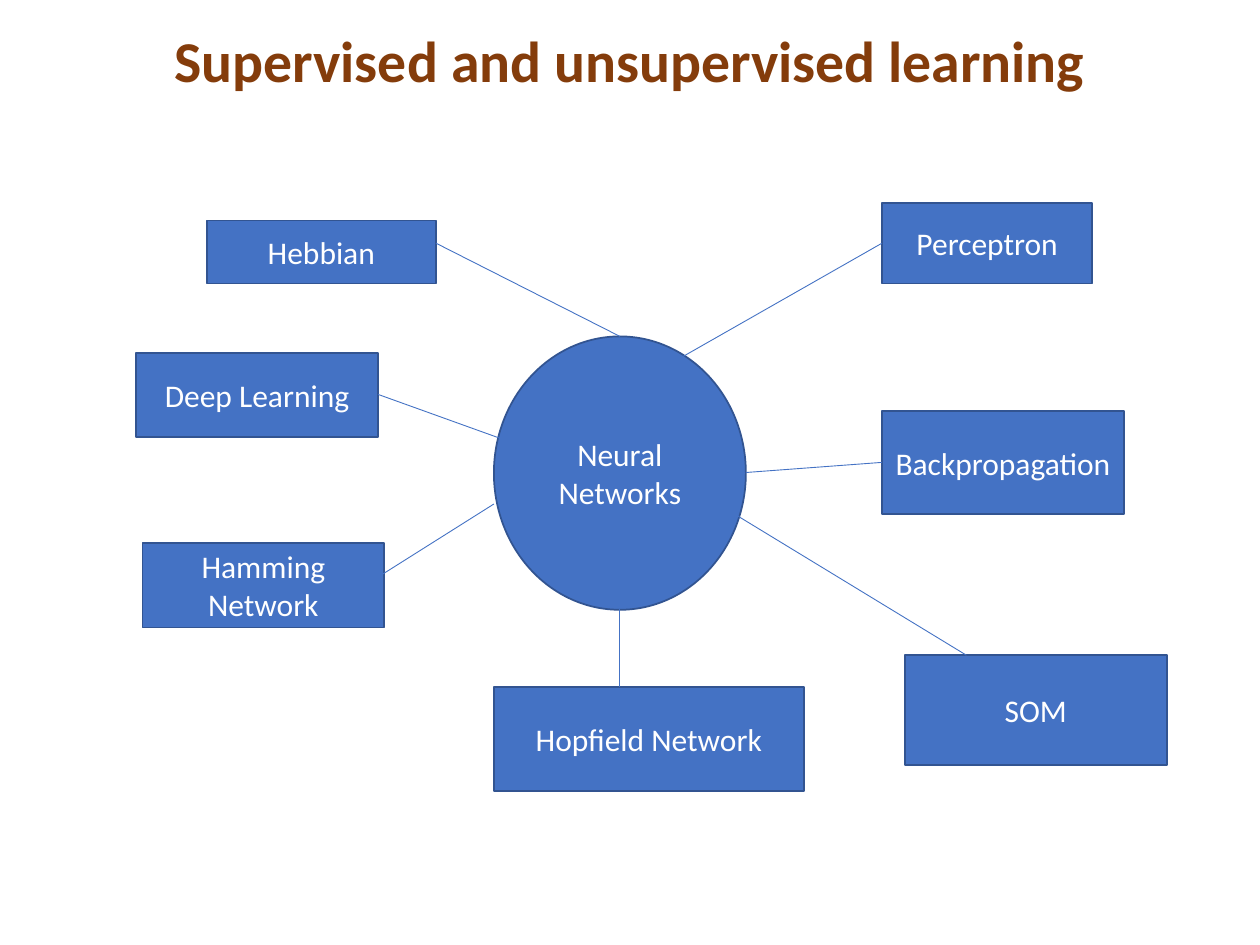
import pptx
import pptx.dml.color
import pptx.enum.shapes
import pptx.enum.text
import pptx.util
from lxml import etree
from pptx.oxml.ns import qn

Inches = pptx.util.Inches
Shapes = pptx.enum.shapes.MSO_SHAPE
RGBColor = pptx.dml.color.RGBColor
BROWN = RGBColor(0x84, 0x3C, 0x0B)
BLUE = RGBColor(0x44, 0x72, 0xC4)
NAVY = RGBColor(0x32, 0x54, 0x91)
WHITE = RGBColor(0xFF, 0xFF, 0xFF)


def write(frame, text, size=18, color=WHITE, bold=False, spacing=1.0, font="Calibri"):
    """Fill a text frame with one centred, formatted paragraph."""
    frame.word_wrap = True
    frame.auto_size = pptx.enum.text.MSO_AUTO_SIZE.NONE
    frame.vertical_anchor = pptx.enum.text.MSO_ANCHOR.MIDDLE
    paragraph = frame.paragraphs[0]
    paragraph.alignment = pptx.enum.text.PP_ALIGN.CENTER
    paragraph.line_spacing = spacing
    run = paragraph.add_run()
    run.text = text
    run.font.name = font
    run.font.size = pptx.util.Pt(size)
    run.font.bold = bold
    run.font.color.rgb = color


class MindMap:
    """Holds the map's style and the slide it is drawn on."""

    def __init__(self, slide, fill=BLUE, outline=NAVY, branch=BLUE):
        self.slide = slide
        self.fill = fill
        self.outline = outline
        self.branch = branch

    def heading(self, text, *bounds):
        """Place and fill the slide title."""
        title = self.slide.shapes.title
        title.left, title.top, title.width, title.height = map(Inches, bounds)
        write(title.text_frame, text, size=33, color=BROWN, bold=True, spacing=0.9)

    def topic(self, text, *bounds, kind=Shapes.RECTANGLE):
        """Add a filled shape labelled with a topic."""
        topic = self.slide.shapes.add_shape(kind, *map(Inches, bounds))
        topic.shadow.inherit = False
        topic.fill.solid()
        topic.fill.fore_color.rgb = self.fill
        topic.line.color.rgb = self.outline
        topic.line.width = pptx.util.Pt(1)
        write(topic.text_frame, text)

    def link(self, *ends):
        """Add a thin straight line between two points."""
        link = self.slide.shapes.add_connector(
            pptx.enum.shapes.MSO_CONNECTOR.STRAIGHT, *map(Inches, ends))
        link.line.color.rgb = self.branch
        link.line.width = pptx.util.Pt(0.5)
        etree.SubElement(link._element.spPr, qn("a:effectLst"))


NETWORKS = [
    ("Hebbian", (1.64, 1.75, 1.82, 0.5), (4.92, 2.67, 3.46, 1.93)),
    ("Backpropagation", (7, 3.26, 1.92, 0.82), (5.92, 3.75, 7, 3.67)),
    ("Perceptron", (7, 1.61, 1.67, 0.64), (5.42, 2.83, 7, 1.93)),
    ("Hamming Network", (1.13, 4.31, 1.92, 0.67), (3.92, 4, 3, 4.58)),
    ("Hopfield Network", (3.92, 5.45, 2.46, 0.83), (4.92, 4.83, 4.92, 5.45)),
    ("SOM", (7.18, 5.2, 2.08, 0.87), (5.83, 4.08, 7.67, 5.2)),
    ("Deep Learning", (1.08, 2.8, 1.92, 0.67), (4, 3.49, 3, 3.13)),
]

presentation = pptx.Presentation()
presentation.slide_width = Inches(10)
presentation.slide_height = Inches(7.5)
mind_map = MindMap(presentation.slides.add_slide(presentation.slide_layouts[5]))
mind_map.heading("Supervised and unsupervised learning", 0.5, 0.17, 9, 0.67)
mind_map.topic("Neural Networks", 3.92, 2.67, 2, 2.17, kind=Shapes.OVAL)
for network, bounds, ends in NETWORKS:
    mind_map.topic(network, *bounds)
    mind_map.link(*ends)
presentation.save("out.pptx")
